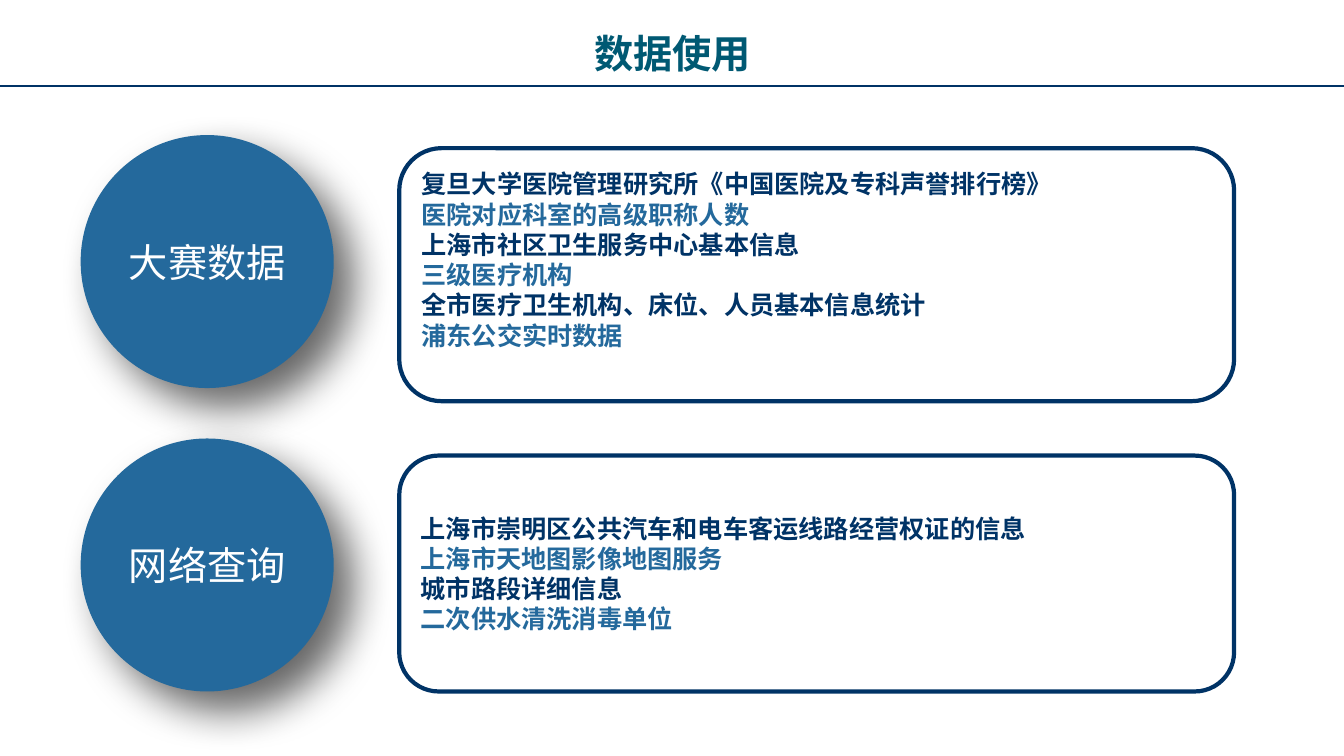
from dataclasses import dataclass

from lxml import etree
from pptx import Presentation
from pptx import util as u
from pptx.dml.color import RGBColor
from pptx.enum import shapes, text
from pptx.oxml import parse_xml
from pptx.oxml.ns import qn

HUES = {"navy": "003366", "blue": "24699C", "teal": "005973", "white": "FFFFFF"}
SANS = "Noto Sans CJK SC"
NS = "http://schemas.openxmlformats.org/drawingml/2006/main"
SHADE = (
    f'<a:effectLst xmlns:a="{NS}"><a:outerShdw blurRad="381000" dist="254000" '
    'dir="2700000" algn="tl" rotWithShape="0"><a:srgbClr val="000000">'
    '<a:alpha val="60000"/></a:srgbClr></a:outerShdw></a:effectLst>'
)


@dataclass
class Group:
    label: str
    disc: float
    top: float
    height: float
    base: float
    items: list[str]


GROUPS = [
    Group("大赛数据", 1.34, 1.47, 2.51, 0.35, [
        "复旦大学医院管理研究所《中国医院及专科声誉排行榜》",
        "医院对应科室的高级职称人数",
        "上海市社区卫生服务中心基本信息",
        "三级医疗机构",
        "全市医疗卫生机构、床位、人员基本信息统计",
        "浦东公交实时数据",
    ]),
    Group("网络查询", 4.35, 4.52, 2.34, 0.05, [
        "上海市崇明区公共汽车和电车客运线路经营权证的信息",
        "上海市天地图影像地图服务",
        "城市路段详细信息",
        "二次供水清洗消毒单位",
    ]),
]


def hue(name: str) -> RGBColor:
    return RGBColor.from_string(HUES[name])


def style(para, size: int, tint: str, face: str, bold: bool, align) -> None:
    para.alignment = align
    font = para.font
    font.size, font.bold, font.name = u.Pt(size), bold, face
    font.color.rgb = hue(tint)
    props = para._p.pPr.find(qn("a:defRPr"))
    etree.SubElement(props, qn("a:ea")).set("typeface", SANS)


def add_head(slide, words: str) -> None:
    head = slide.shapes.title
    head.left, head.top = u.Inches(4.42), u.Inches(0.24)
    head.width, head.height = u.Inches(4.5), u.Inches(0.57)
    frame = head.text_frame
    frame.text = words
    frame.auto_size = text.MSO_AUTO_SIZE.NONE
    frame.vertical_anchor = text.MSO_ANCHOR.MIDDLE
    style(frame.paragraphs[0], 28, "teal", SANS, True, text.PP_ALIGN.CENTER)


def add_rule(slide, width: int) -> None:
    y = u.Inches(0.85)
    rule = slide.shapes.add_connector(shapes.MSO_CONNECTOR.STRAIGHT, 0, y, width, y)
    rule.line.color.rgb = hue("navy")
    rule.line.width = u.Pt(1.5)
    etree.SubElement(rule._element.spPr, qn("a:effectLst"))


def add_form(slide, kind, box: tuple[float, ...], fill: str):
    form = slide.shapes.add_shape(kind, *map(u.Inches, box))
    form.shadow.inherit = False
    form.fill.solid()
    form.fill.fore_color.rgb = hue(fill)
    form.text_frame.word_wrap = True
    form.text_frame.vertical_anchor = text.MSO_ANCHOR.MIDDLE
    return form


def add_disc(slide, group: Group) -> None:
    disc = add_form(slide, shapes.MSO_SHAPE.OVAL, (0.8, group.disc, 2.51, 2.51), "blue")
    disc.line.fill.background()
    props = disc._element.spPr
    props.replace(props.find(qn("a:effectLst")), parse_xml(SHADE))
    disc.text_frame.text = group.label
    style(disc.text_frame.paragraphs[0], 28, "white", "Calibri", False,
          text.PP_ALIGN.CENTER)


def add_panel(slide, group: Group) -> None:
    panel = add_form(slide, shapes.MSO_SHAPE.ROUNDED_RECTANGLE,
                     (3.96, group.top, 8.28, group.height), "white")
    panel.line.color.rgb = hue("navy")
    panel.line.width = u.Pt(3)
    frame = panel.text_frame
    frame.margin_bottom = u.Inches(group.base)
    frame.text = "\n".join(group.items)
    for i, para in enumerate(frame.paragraphs):
        style(para, 18, ("navy", "blue")[i % 2], SANS, True, text.PP_ALIGN.LEFT)


def main() -> None:
    deck = Presentation()
    deck.slide_width, deck.slide_height = u.Inches(13.33), u.Inches(7.5)
    slide = deck.slides.add_slide(deck.slide_layouts[5])
    add_rule(slide, deck.slide_width)
    add_head(slide, "数据使用")
    for group in GROUPS:
        add_panel(slide, group)
        add_disc(slide, group)
    deck.save("out.pptx")


if __name__ == "__main__":
    main()
